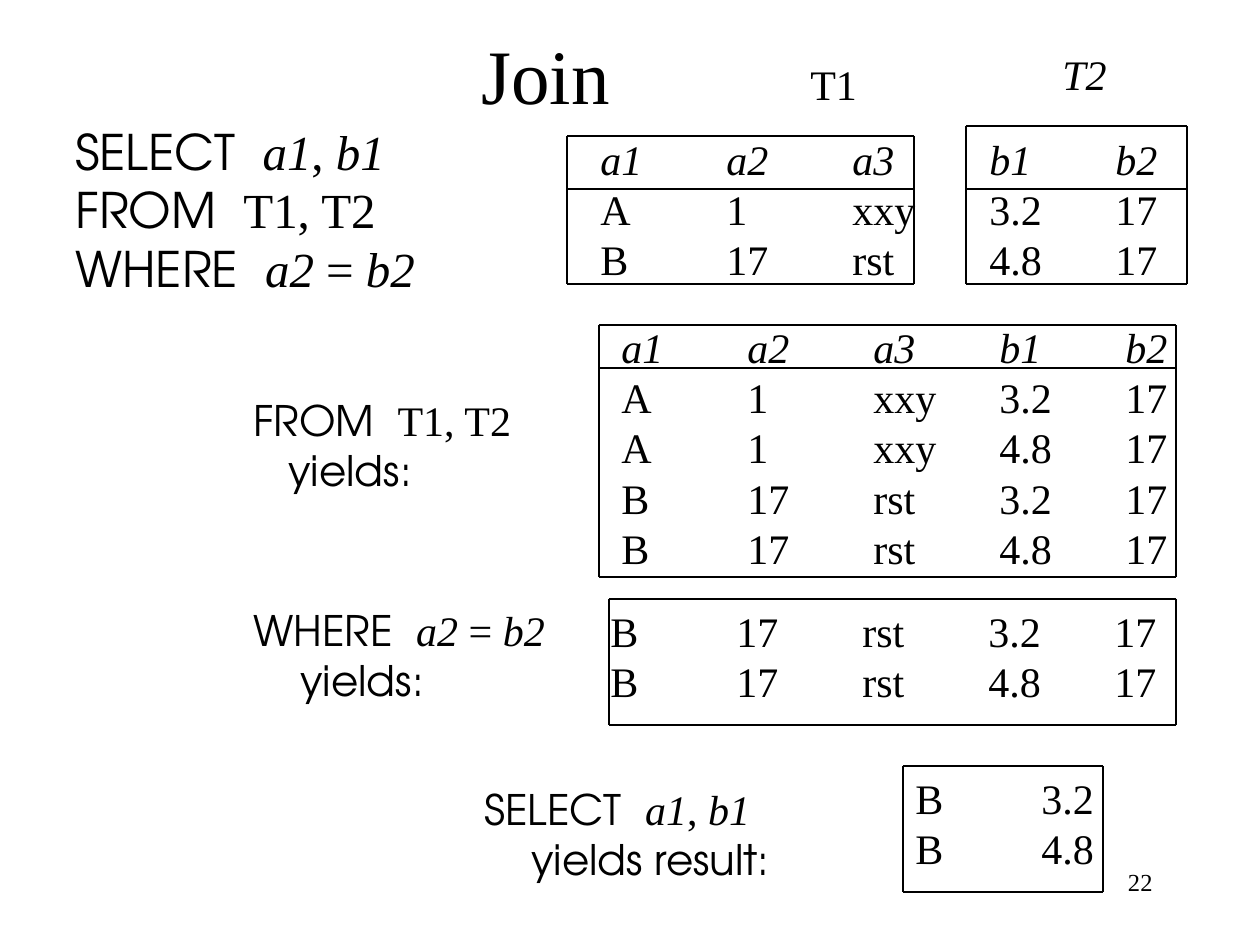
from lxml.etree import SubElement
from pptx import Presentation
from pptx.dml.color import RGBColor
from pptx.enum.shapes import MSO_CONNECTOR
from pptx.enum.text import MSO_ANCHOR, PP_ALIGN
from pptx.oxml.ns import qn
from pptx.util import Emu, Pt

PX_PER_INCH = 126
BLACK = "000000"
SERIF = "Times New Roman"
SANS = "TeX Gyre Adventor"
STYLES = {"plain": (SERIF, False), "italic": (SERIF, True), "keyword": (SANS, False)}

SELECT = [("SELECT  ", "keyword"), ("a1", "italic"), (", ", "plain"), ("b1", "italic")]
FROM = [("FROM  ", "keyword"), ("T1, T2", "plain")]
WHERE = [("WHERE  ", "keyword"), ("a2", "italic"), (" = ", "plain"), ("b2", "italic")]


def px(n):
    """Turn pixels into EMU."""
    return Emu(round(n * 914400 / PX_PER_INCH))


def color(value):
    """Turn a hex string into a colour."""
    return RGBColor.from_string(value)


def add_text(s, box, lines, size=24, align=PP_ALIGN.LEFT, anchor=MSO_ANCHOR.TOP):
    """Add a text box of lines, each a list of (text, style) runs."""
    tf = s.shapes.add_textbox(*map(px, box)).text_frame
    tf.word_wrap = False
    tf.vertical_anchor = anchor
    for i, line in enumerate(lines):
        p = tf.paragraphs[0] if i == 0 else tf.add_paragraph()
        p.alignment = align
        for text, style in line:
            r = p.add_run()
            r.text = text
            r.font.name, r.font.italic = STYLES[style]
            r.font.size = Pt(size)
            r.font.color.rgb = color(BLACK)
    return tf


def set_leading(tf, size=24):
    """Give every line a height of 1.2 times its text size."""
    for p in tf.paragraphs:
        p.line_spacing = Pt(size * 1.2)


def add_rows(s, box, rows, header=False):
    """Add rows of values in columns one inch apart."""
    lines = [[("\t".join(row.split()), "italic" if header and i == 0 else "plain")]
             for i, row in enumerate(rows)]
    tf = add_text(s, box, lines)
    set_leading(tf)
    for p, row in zip(tf.paragraphs, rows):
        tabs = SubElement(p._p.get_or_add_pPr(), qn("a:tabLst"))
        for column in range(1, len(row.split())):
            SubElement(tabs, qn("a:tab"), pos=str(px(column * PX_PER_INCH)), algn="l")


def add_step(s, box, clause, result, indent):
    """Add a clause with its indented result line."""
    tf = add_text(s, box, [clause, [(result, "keyword")]])
    set_leading(tf)
    tf.paragraphs[1]._p.get_or_add_pPr().set("marL", str(px(indent)))


def add_line(s, x1, y1, x2, y2):
    """Add a thin black line."""
    c = s.shapes.add_connector(MSO_CONNECTOR.STRAIGHT, *map(px, (x1, y1, x2, y2)))
    c.line.color.rgb = color(BLACK)
    c.line.width = Pt(0.75)
    SubElement(c._element.spPr, qn("a:effectLst"))


def add_frame(s, left, right, *ys):
    """Rule the given heights and close them at both sides."""
    for y in ys:
        add_line(s, left, y, right, y)
    for x in (left, right):
        add_line(s, x, ys[0], x, ys[-1])


def main():
    """Build the slide."""
    prs = Presentation()
    prs.slide_width, prs.slide_height = px(1260), px(945)
    s = prs.slides.add_slide(prs.slide_layouts[6])

    add_text(s, (262, 0, 567, 147), [[("Join", "plain")]], 44, PP_ALIGN.CENTER, MSO_ANCHOR.MIDDLE)
    set_leading(add_text(s, (63, 115, 370, 189), [SELECT, FROM, WHERE], 28), 28)
    set_leading(add_text(s, (798, 52, 76, 63), [[("T1", "plain")]]))
    set_leading(add_text(s, (1050, 42, 76, 63), [[("T2", "italic")]]))

    add_rows(s, (588, 127, 344, 164), ["a1 a2 a3", "A 1 xxy", "B 17 rst"], header=True)
    add_frame(s, 567, 914, 136, 189, 284)
    add_rows(s, (977, 127, 197, 164), ["b1 b2", "3.2 17", "4.8 17"], header=True)
    add_frame(s, 966, 1187, 126, 189, 284)

    add_step(s, (241, 388, 290, 113), FROM, "yields:", 35)
    product = ["A 1 xxy 3.2 17", "A 1 xxy 4.8 17", "B 17 rst 3.2 17", "B 17 rst 4.8 17"]
    add_rows(s, (609, 315, 575, 265), ["a1 a2 a3 b1 b2"] + product, header=True)
    add_frame(s, 599, 1176, 325, 368, 577)

    add_step(s, (241, 598, 324, 113), WHERE, "yields:", 47)
    add_rows(s, (598, 599, 575, 164), product[2:])
    add_frame(s, 609, 1176, 599, 725)

    add_step(s, (472, 777, 317, 113), SELECT, "yields result:", 47)
    add_rows(s, (903, 766, 208, 113), ["B 3.2", "B 4.8"])
    add_frame(s, 903, 1103, 766, 892)

    add_text(s, (903, 861, 262, 63), [[("22", "plain")]], 14, PP_ALIGN.RIGHT)
    prs.save("out.pptx")


if __name__ == "__main__":
    main()
